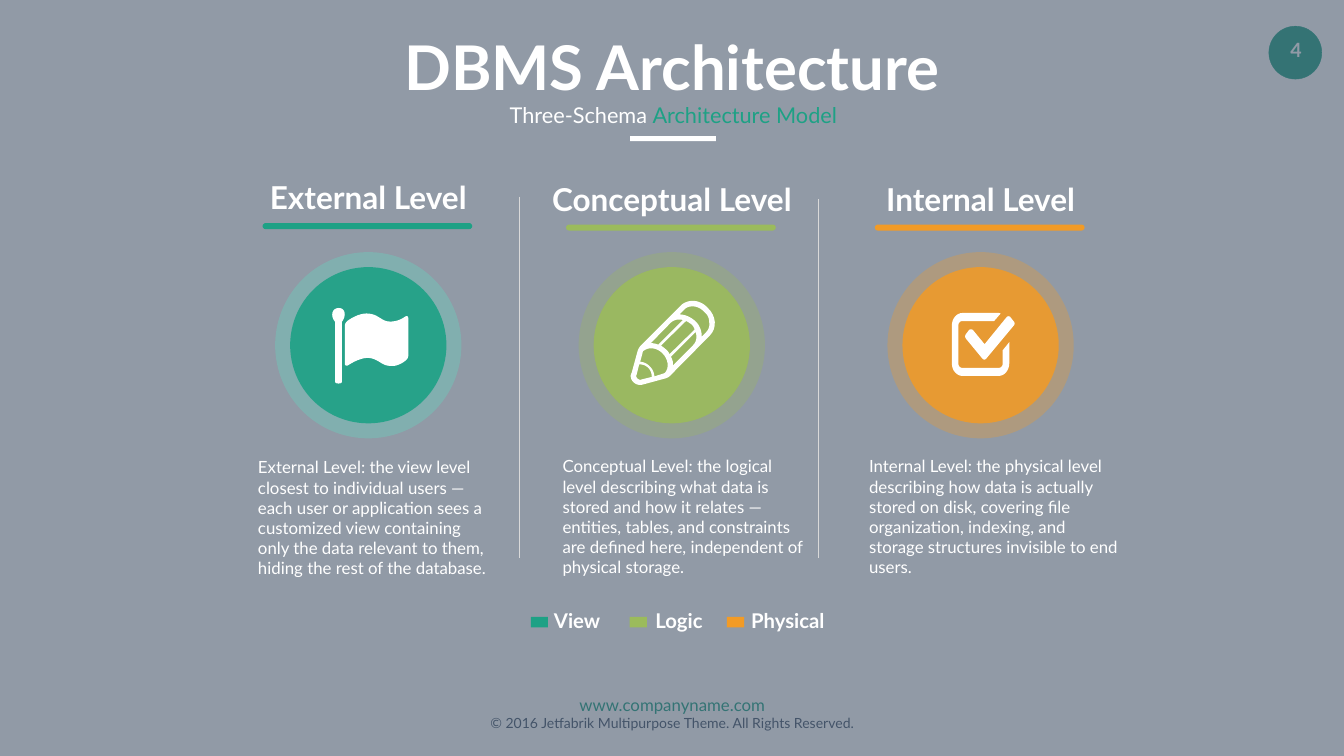
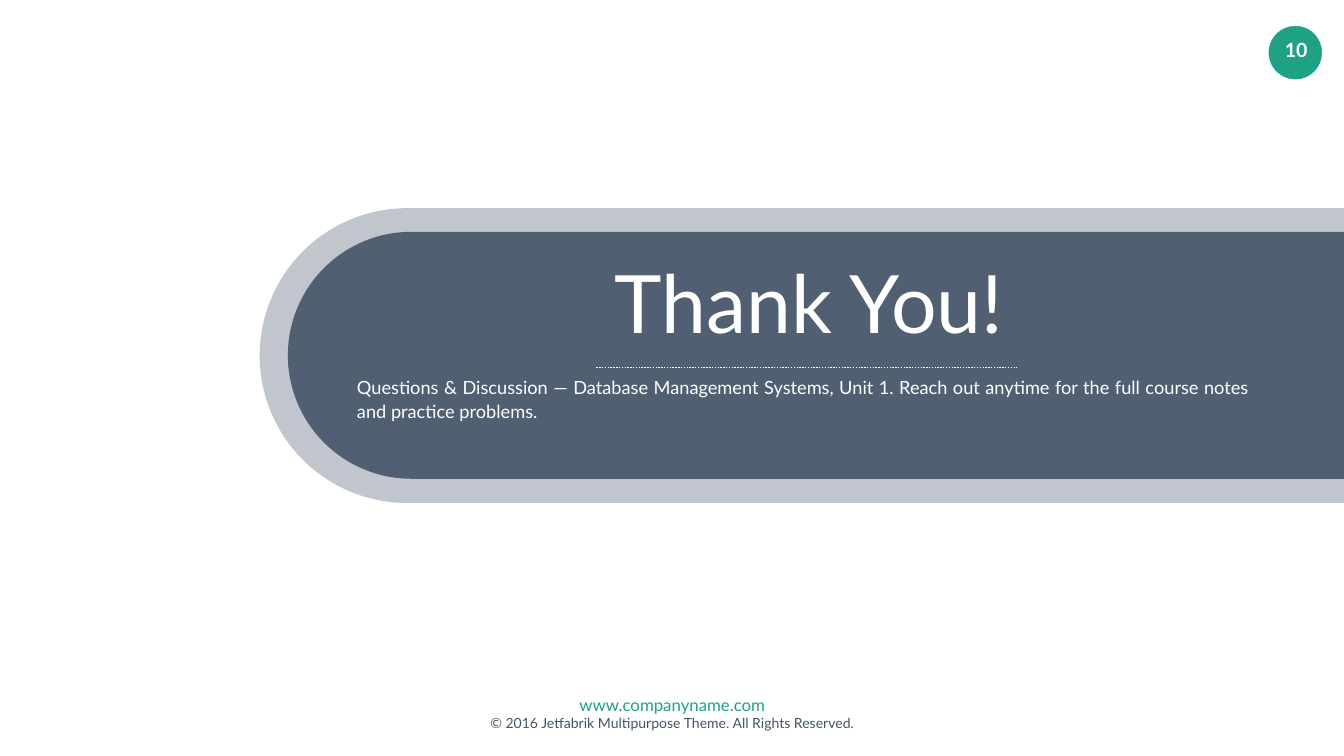
from lxml import etree
from pptx import Presentation, util as u
from pptx.dml.color import RGBColor
from pptx.enum import dml, shapes, text
from pptx.oxml.ns import qn

WHITE, NAVY = "FFFFFF", "445469"
GREEN, LIME, AMBER = "1EA185", "9BBB5C", "F29B26"
FONT = "Lato"
kind = shapes.MSO_SHAPE
ink = RGBColor.from_string


def paint(shape, hue, alpha=100):
    shape.shadow.inherit = False
    shape.fill.solid()
    shape.fill.fore_color.rgb = ink(hue)
    shape.line.fill.background()
    if alpha < 100:
        node = shape._element.spPr.find(".//" + qn("a:srgbClr"))
        etree.SubElement(node, qn("a:alpha")).set("val", str(alpha * 1000))


def write(box, words, size, hue=WHITE, bold=False, align="LEFT",
          pad=(7.2, 3.6), wrap=True, anchor="TOP", lead=1, join=None):
    frame = box.text_frame
    frame.word_wrap = wrap
    frame.auto_size = text.MSO_AUTO_SIZE.NONE
    frame.vertical_anchor = text.MSO_ANCHOR[anchor]
    frame.margin_left = frame.margin_right = u.Pt(pad[0])
    frame.margin_top = frame.margin_bottom = u.Pt(pad[1])
    para = frame.add_paragraph() if join == "para" else frame.paragraphs[-1]
    para.alignment = text.PP_ALIGN[align]
    para.line_spacing = lead
    para.space_before = u.Pt(0)
    run = para.add_run()
    run.text = words
    run.font.name = FONT
    run.font.size = u.Pt(size)
    run.font.bold = bold
    run.font.color.rgb = ink(hue)


deck = Presentation()
deck.slide_width, deck.slide_height = u.Pt(1919.5), u.Pt(1080)

pages = []
for number in ("4", "10"):
    page = deck.slides.add_slide(deck.slide_layouts[5])
    pages.append(page)
    badge = page.shapes.add_shape(kind.OVAL, u.Pt(1812.2), u.Pt(37.4), u.Pt(75.6), u.Pt(75.6))
    paint(badge, GREEN)
    badge.line.color.rgb = ink(GREEN)
    badge.line.width = u.Pt(0.5)
    box = page.shapes.add_textbox(u.Pt(1819.4), u.Pt(47.5), u.Pt(63.4), u.Pt(48.2))
    write(box, number, 28, bold=True, align="CENTER", pad=(14.4, 7.2), wrap=False)
    foot = page.shapes.add_textbox(u.Pt(613.4), u.Pt(985), u.Pt(693.4), u.Pt(67.7))
    write(foot, "www.companyname.com", 24, GREEN, align="CENTER", pad=(14.4, 7.2))
    write(foot, "© 2016 Jetfabrik Multipurpose Theme. All Rights Reserved.", 20, NAVY,
          align="CENTER", pad=(14.4, 7.2), join="para")
levels, thanks = pages

veil = levels.shapes.add_shape(kind.RECTANGLE, 0, 0, deck.slide_width, deck.slide_height)
paint(veil, NAVY, 59)

flag = (
    "M 19 28 L 19 147 C 19 151 6 151 6 147 L 6 28 C -5 15 0 0 13 0 C 26 0 29 15 19 28",
    "M 25 36 C 25 32 27 28 31 25 C 50 12 65 9 78 12 C 93 15 99 27 115 27 "
    "C 128 27 138 22 145 17 C 149 15 151 17 151 21 L 151 94 C 151 98 149 102 145 105 "
    "C 134 113 125 116 115 115 C 100 115 94 104 78 100 C 65 97 50 102 31 114 "
    "C 27 116 25 113 25 110",
)
pencil = (
    "M 153 14 C 145 5 134 0 123 0 C 114 0 104 4 99 10 L 19 90 C 17 93 15 96 14 99 "
    "L 2 143 C 2 143 0 147 0 149 C 0 159 9 167 19 167 C 21 167 25 166 25 166 L 69 154 "
    "C 72 153 75 152 78 149 L 157 69 C 172 54 170 30 153 14",
    "M 84 124 C 84 120 82 115 80 111 L 129 62 C 132 71 131 81 124 88 L 84 128",
    "M 77 106 C 76 103 74 100 71 97 C 67 94 64 91 60 89 L 110 40 "
    "C 114 42 117 44 121 47 C 124 50 126 53 127 57",
    "M 55 87 C 50 85 45 84 40 84 L 80 43 C 87 37 95 36 104 38",
    "M 22 156 L 19 157 C 15 156 11 153 11 149 L 12 146 L 17 126 "
    "C 23 126 30 128 35 133 C 40 138 42 145 42 151",
    "M 47 150 C 47 143 44 136 38 130 C 32 124 25 121 19 121 L 24 102 "
    "C 24 101 25 99 26 99 C 36 91 52 93 63 104 C 75 116 77 133 68 143 L 66 144",
    "M 150 62 L 141 71 C 141 69 141 69 141 67 C 140 57 136 47 128 40 "
    "C 119 32 108 27 97 27 L 106 18 C 110 13 116 11 123 11 C 131 11 140 15 146 22 "
    "C 153 27 156 35 156 43 C 157 50 155 57 150 62",
)
check = (
    "M 101 74 L 114 58 L 114 100 C 114 114 104 125 93 125 L 21 125 C 10 125 0 114 0 100 "
    "L 0 25 C 0 11 10 0 21 0 L 93 0 L 97 1 L 84 16 L 21 16 C 16 16 13 20 13 25 L 13 100 "
    "C 13 105 16 109 21 109 L 93 109 C 98 109 101 105 101 100",
    "M 123 17 C 125 19 125 23 123 25 L 68 91 C 66 93 63 93 61 91 L 28 51 "
    "C 26 49 26 44 28 42 L 34 34 C 36 32 40 32 42 34 L 65 62 L 109 8 C 111 6 114 6 116 8",
)

columns = (
    ("External Level", 526, 251.3, GREEN, "5EE1C5", 90, flag, (474.5, 440), (361.4, 649.4, 354.2),
     "External Level: the view level closest to individual users — each user or application "
     "sees a customized view containing only the data relevant to them, hiding the rest of "
     "the database."),
    ("Conceptual Level", 959.5, 253.4, LIME, LIME, 90, pencil, (900.7, 429.8), (796.3, 648, 357.8),
     "Conceptual Level: the logical level describing what data is stored and how it relates — "
     "entities, tables, and constraints are defined here, independent of physical storage."),
    ("Internal Level", 1400.5, 253.4, AMBER, AMBER, 85, check, (1359.4, 447.1), (1234.1, 648, 373),
     "Internal Level: the physical level describing how data is actually stored on disk, "
     "covering file organization, indexing, and storage structures invisible to end users."),
)
for name, mid, top, hue, halo, alpha, icon, spot, place, words in columns:
    left, high, wide = place
    body = levels.shapes.add_textbox(u.Pt(left), u.Pt(high), u.Pt(wide), u.Pt(181.4))
    write(body, words, 24)
    head = levels.shapes.add_textbox(u.Pt(mid - 231.5), u.Pt(top), u.Pt(463), u.Pt(62))
    write(head, name, 45, bold=True, align="CENTER")
    bar = levels.shapes.add_shape(
        kind.ROUNDED_RECTANGLE, u.Pt(mid - 151), u.Pt(top + 67.4), u.Pt(299.5), u.Pt(8.6))
    bar.adjustments[0] = 0.5
    paint(bar, hue)
    for size, tone, see in ((266, halo, 30), (223.2, hue, alpha)):
        disc = levels.shapes.add_shape(
            kind.OVAL, u.Pt(mid - size / 2), u.Pt(493.2 - size / 2), u.Pt(size), u.Pt(size))
        paint(disc, tone, see)

    pen = None
    for path in icon:
        marks = path.split()
        points = []
        while marks:
            step = marks.pop(0)
            count = 6 if step == "C" else 2
            nums = [float(n) * 10 for n in marks[:count]]
            marks = marks[count:]
            if step != "C":
                points.append(tuple(nums))
                continue
            (ax, ay), (bx, by, cx, cy, dx, dy) = points[-1], nums
            for i in range(1, 9):
                t = i / 8
                s = 1 - t
                points.append((
                    s**3 * ax + 3 * s * s * t * bx + 3 * s * t * t * cx + t**3 * dx,
                    s**3 * ay + 3 * s * s * t * by + 3 * s * t * t * cy + t**3 * dy))
        if pen is None:
            pen = levels.shapes.build_freeform(*points[0], scale=u.Pt(0.072))
        else:
            pen.move_to(*points[0])
        pen.add_line_segments(points[1:], close=True)
    paint(pen.convert_to_shape(u.Pt(spot[0]), u.Pt(spot[1])), WHITE)

legend = (("View", GREEN, 758.2, 784.1), ("Logic", LIME, 899.3, 928.8),
          ("Physical", AMBER, 1038.2, 1065.6))
for name, hue, left, start in legend:
    chip = levels.shapes.add_shape(kind.RECTANGLE, u.Pt(left), u.Pt(881.3), u.Pt(24.5), u.Pt(15.1))
    paint(chip, hue)
    label = levels.shapes.add_textbox(u.Pt(start), u.Pt(864.7), u.Pt(157.7), u.Pt(49.7))
    write(label, name, 29, bold=True)

rule = levels.shapes.add_shape(kind.RECTANGLE, u.Pt(900), u.Pt(194.4), u.Pt(122.4), u.Pt(7.2))
paint(rule, WHITE)
sub = levels.shapes.add_textbox(u.Pt(502.6), u.Pt(128.9), u.Pt(918), u.Pt(66.2))
for words, hue in (("Three-Schema ", WHITE), ("Architecture Model", GREEN)):
    write(sub, words, 31, hue, align="CENTER", pad=(17.3, 8.6), lead=1.2)

for left, top, wide, tall, alpha in ((934.6, -266.4, 421.2, 1548.7, 33),
                                     (989.3, -247, 352.8, 1509.1, 90)):
    band = thanks.shapes.add_shape(
        kind.ROUND_2_SAME_RECTANGLE, u.Pt(left), u.Pt(top), u.Pt(wide), u.Pt(tall))
    band.adjustments[0], band.adjustments[1] = 0.5, 0
    band.rotation = 270
    paint(band, NAVY, alpha)
note = thanks.shapes.add_textbox(u.Pt(495.4), u.Pt(527), u.Pt(1303.9), u.Pt(83.5))
write(note, "Questions & Discussion — Database Management Systems, Unit 1. Reach out anytime "
      "for the full course notes and practice problems.", 26, align="JUSTIFY",
      pad=(14.4, 7.2), lead=1.1)

titles = (
    (levels, "DBMS Architecture", (473, 38.2, 973.4, 113.8), 88, True, "TOP", (7.2, 3.6)),
    (thanks, "Thank You!", (364.3, 355, 1581.8, 151.9), 115, False, "MIDDLE", (4.3, 4.3)),
)
for page, words, place, size, bold, anchor, pad in titles:
    title = page.shapes.title
    title.left, title.top, title.width, title.height = map(u.Pt, place)
    write(title, words, size, bold=bold, align="CENTER", pad=pad, anchor=anchor)
    page.shapes._spTree.append(title._element)

rules = (
    (levels, 740.9, 280.8, 740.9, 796.3, "D9D9D9", 0.5),
    (levels, 1168.6, 284.4, 1168.6, 796.3, "D9D9D9", 0.5),
    (thanks, 851.8, 524.9, 1453, 524.9, WHITE, 2),
)
for page, *ends, hue, width in rules:
    line = page.shapes.add_connector(shapes.MSO_CONNECTOR.STRAIGHT, *map(u.Pt, ends))
    line.line.color.rgb = ink(hue)
    line.line.width = u.Pt(width)
    line.line.dash_style = dml.MSO_LINE.ROUND_DOT
    etree.SubElement(line._element.spPr, qn("a:effectLst"))

deck.save("out.pptx")
